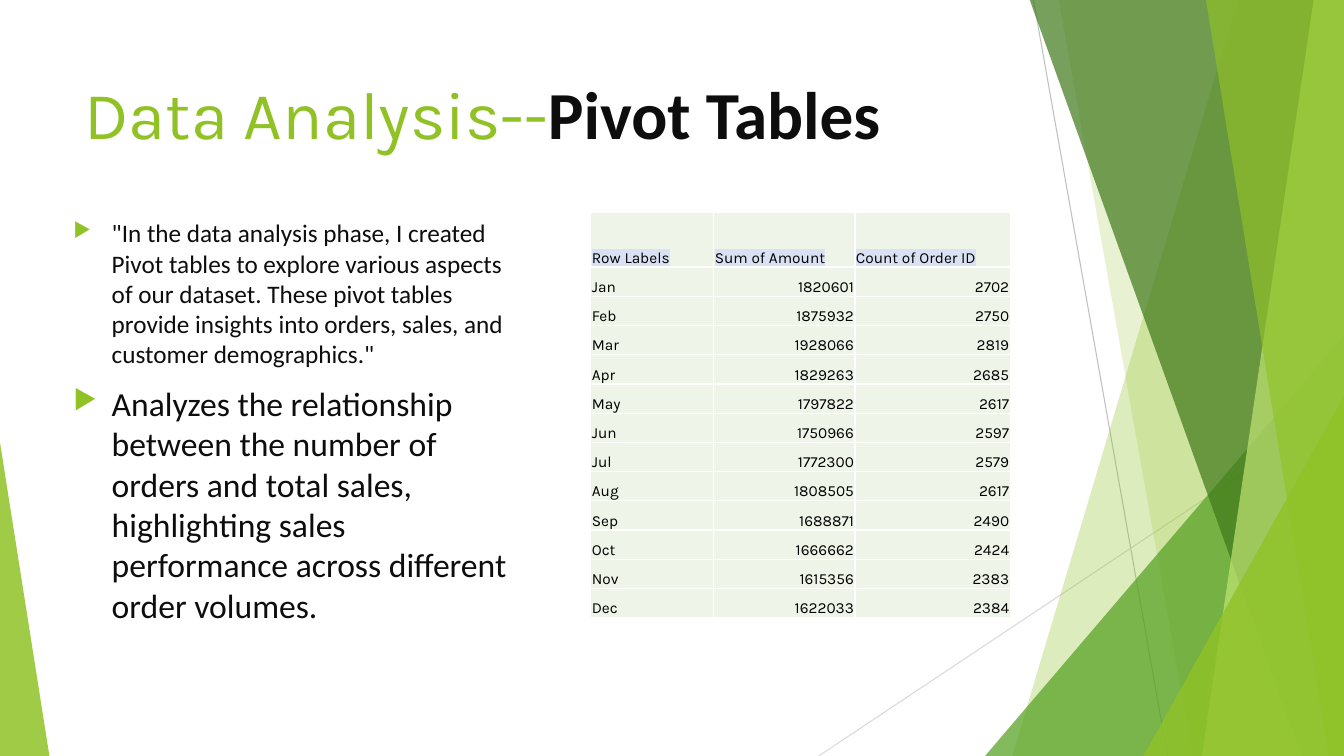
import pptx
import pptx.util
import pptx.dml.color
import pptx.enum.shapes
import pptx.enum.text
import pptx.oxml
import pptx.oxml.ns
import lxml.etree

Inches, Pt = pptx.util.Inches, pptx.util.Pt
ALIGN = pptx.enum.text.PP_ALIGN
ANCHOR = pptx.enum.text.MSO_ANCHOR
LIME, INK, BLACK, WHITE = "90C226", "0D0D0D", "000000", "FFFFFF"
PALE, TINT = "EEF4E8", "D9E1F2"

# Content
TITLE = [
    ("Data Analysis--", {"name": "Karla", "size": Pt(48)}, LIME),
    ("Pivot Tables", {"name": "Calibri", "size": Pt(48), "bold": True}, INK),
]
POINTS = [
    ('"In the data analysis phase, I created Pivot tables to explore various '
     'aspects of our dataset. These pivot tables provide insights into orders, '
     'sales, and customer demographics."', 18),
    ("Analyzes the relationship between the number of orders and total sales, "
     "highlighting sales performance across different order volumes.", 24),
]
ROWS = [
    ("Row Labels", "Sum of Amount", "Count of Order ID"),
    ("Jan", 1820601, 2702),
    ("Feb", 1875932, 2750),
    ("Mar", 1928066, 2819),
    ("Apr", 1829263, 2685),
    ("May", 1797822, 2617),
    ("Jun", 1750966, 2597),
    ("Jul", 1772300, 2579),
    ("Aug", 1808505, 2617),
    ("Sep", 1688871, 2490),
    ("Oct", 1666662, 2424),
    ("Nov", 1615356, 2383),
    ("Dec", 1622033, 2384),
]
WIDTHS = (1.22, 1.4, 1.54)
HEAD, STEP = 0.54, 0.29

# Backdrop, back to front
WIDE, HIGH, TOP = 13.33, 7.5, -0.01
LINES = [
    ((10.25, 0), (11.58, HIGH), "BFBFBF"),
    ((WIDE, 4.03), (8.12, HIGH), "D9D9D9"),
]
# Bands run to the right edge: left x at top, left x at foot, colour, opacity
# Wedges are triangles: left, top, width, apex, colour, opacity
PANES = [
    ("band", (12.28, 10.04), LIME, 30),
    ("band", (10.5, 11.83), LIME, 20),
    ("wedge", (9.77, 3.33, 3.56, 1), "54A021", 72),
    ("band", (10.21, 12.91), "3F7819", 70),
    ("band", (13.03, 11.92), "C0E474", 70),
    ("band", (11.96, 13.18), LIME, 65),
    ("wedge", (11.34, 3.93, 1.99, 1), LIME, 80),
    ("wedge", (0, 4.39, 0.49, 0), LIME, 85),
]


def tone(code):
    return pptx.dml.color.RGBColor.from_string(code)


def apply(item, form):
    for key, value in form.items():
        setattr(item, key, value)


def sub(base, tag, **attrs):
    node = lxml.etree.SubElement(base, pptx.oxml.ns.qn(tag))
    for key, value in attrs.items():
        node.set(key, str(value))
    return node


def paint(item, code, clear=100):
    item.fill.solid()
    item.fill.fore_color.rgb = tone(code)
    if clear < 100:
        hue = item.fill._xPr.find(".//" + pptx.oxml.ns.qn("a:srgbClr"))
        sub(hue, "a:alpha", val=clear * 1000)


def write(para, text, form, code, mark=None):
    run = para.add_run()
    run.text = text
    apply(run.font, form)
    run.font.color.rgb = tone(code)
    if mark:
        glow = pptx.oxml.parse_xml(
            f'<a:highlight {pptx.oxml.ns.nsdecls("a")}>'
            f'<a:srgbClr val="{mark}"/></a:highlight>')
        run.font.fill._xPr.find(pptx.oxml.ns.qn("a:solidFill")).addnext(glow)


def add_text(slide, *box):
    frame = slide.shapes.add_textbox(*map(Inches, box)).text_frame
    apply(frame, {"word_wrap": True, "vertical_anchor": ANCHOR.TOP})
    return frame


def add_line(slide, start, end, code):
    line = slide.shapes.add_connector(
        pptx.enum.shapes.MSO_CONNECTOR.STRAIGHT, *map(Inches, start + end))
    line.line.color.rgb = tone(code)
    line.line.width = Pt(0.75)
    sub(line._element.spPr, "a:effectLst")


def add_pane(slide, kind, place, code, clear):
    if kind == "band":
        peak, foot = place
        pen = slide.shapes.build_freeform(Inches(peak), Inches(TOP), 1.0)
        ends = [(WIDE, TOP), (WIDE, HIGH), (foot, HIGH)]
        pen.add_line_segments([(Inches(x), Inches(y)) for x, y in ends])
        pane = pen.convert_to_shape()
    else:
        left, top, width, apex = place
        pane = slide.shapes.add_shape(
            pptx.enum.shapes.MSO_SHAPE.ISOSCELES_TRIANGLE,
            *map(Inches, (left, top, width, HIGH - top)))
        pane.adjustments[0] = apex
    pane.shadow.inherit = False
    pane.line.fill.background()
    paint(pane, code, clear)


def add_point(para, text, size):
    para.space_before = Pt(10)
    props = para._p.get_or_add_pPr()
    props.set("marL", str(Inches(0.38)))
    props.set("indent", str(-Inches(0.38)))
    sub(sub(props, "a:buClr"), "a:srgbClr", val=LIME)
    sub(props, "a:buSzPct", val=80000)
    sub(props, "a:buChar", char="▶")
    write(para, text, {"name": "Calibri", "size": Pt(size)}, INK)


def fill_cell(cell, value, head):
    apply(cell, {"margin_left": Inches(0.01), "margin_right": Inches(0.01),
                 "margin_top": Inches(0.01), "margin_bottom": 0,
                 "vertical_anchor": ANCHOR.BOTTOM})
    props = cell._tc.get_or_add_tcPr()
    for side in ("a:lnL", "a:lnR", "a:lnT", "a:lnB"):
        edge = sub(props, side, w=Pt(1))
        sub(sub(edge, "a:solidFill"), "a:srgbClr", val=WHITE)
    paint(cell, PALE)
    para = cell.text_frame.paragraphs[0]
    para.alignment = ALIGN.RIGHT if isinstance(value, int) else ALIGN.LEFT
    write(para, str(value), {"name": "Karla", "size": Pt(11)}, BLACK,
          TINT if head else None)


def add_grid(slide):
    high = HEAD + STEP * (len(ROWS) - 1)
    grid = slide.shapes.add_table(
        len(ROWS), len(WIDTHS),
        *map(Inches, (5.86, 2.11, sum(WIDTHS), high))).table
    apply(grid, {"first_row": False, "horz_banding": False})
    for col, width in zip(grid.columns, WIDTHS):
        col.width = Inches(width)
    for i, row in enumerate(ROWS):
        grid.rows[i].height = Inches(STEP if i else HEAD)
        for j, value in enumerate(row):
            fill_cell(grid.cell(i, j), value, i == 0)


def main():
    deck = pptx.Presentation()
    apply(deck, {"slide_width": Inches(WIDE), "slide_height": Inches(HIGH)})
    slide = deck.slides.add_slide(deck.slide_layouts[6])

    # Backdrop
    for line in LINES:
        add_line(slide, *line)
    for pane in PANES:
        add_pane(slide, *pane)

    # Title
    title = add_text(slide, 0.74, 0.67, 9.4, 1.44)
    for part in TITLE:
        write(title.paragraphs[0], *part)

    # Bullet points
    body = add_text(slide, 0.63, 2.11, 4.58, 4.24)
    body.auto_size = pptx.enum.text.MSO_AUTO_SIZE.TEXT_TO_FIT_SHAPE
    for i, point in enumerate(POINTS):
        add_point(body.add_paragraph() if i else body.paragraphs[0], *point)

    # Pivot table
    add_grid(slide)
    deck.save("out.pptx")


if __name__ == "__main__":
    main()
